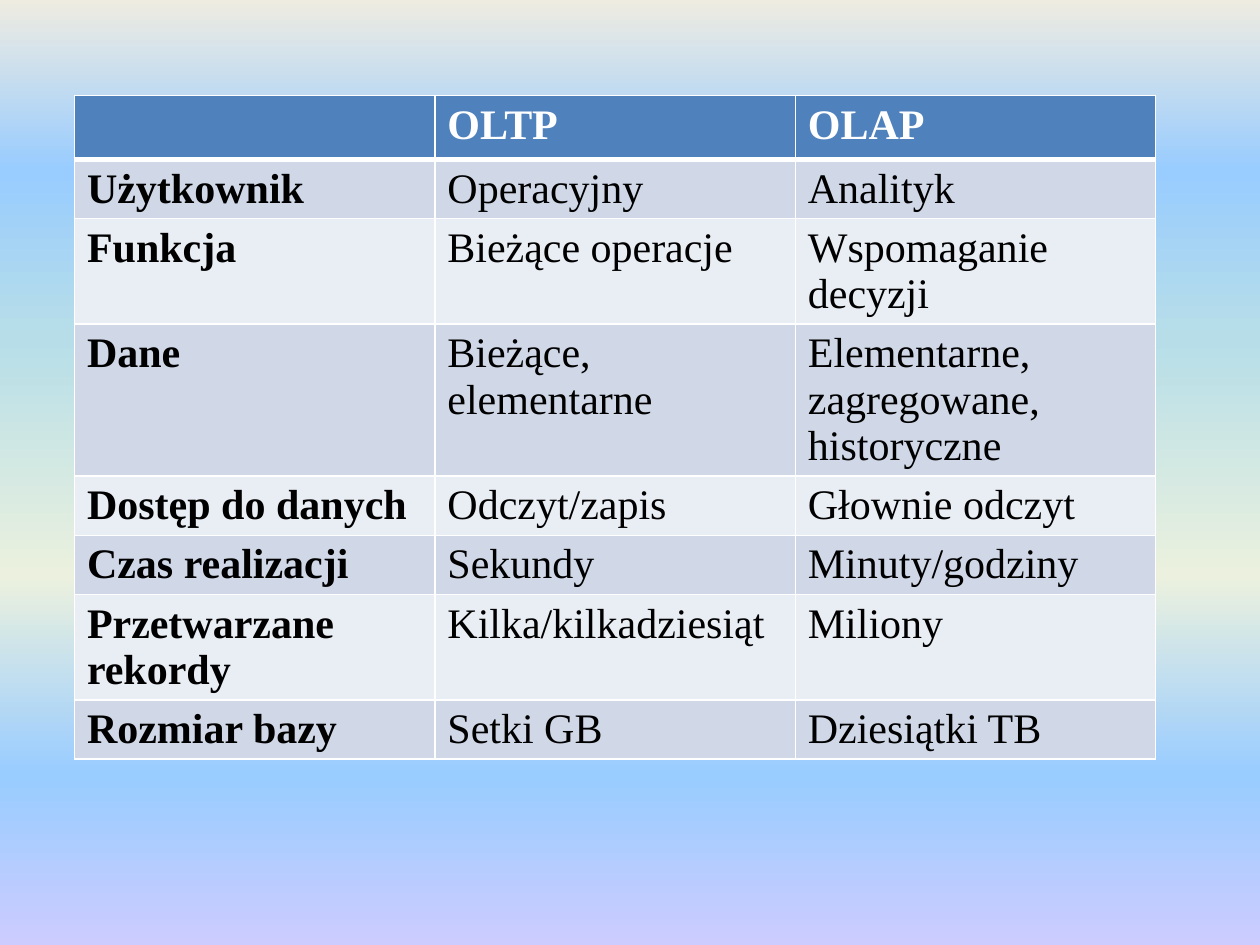
from lxml import etree
from pptx import Presentation
from pptx import util as u
from pptx.dml.color import RGBColor
from pptx.oxml import ns

INK = {"head": "4F81BD", "odd": "D0D8E8", "even": "E9EDF4",
       "white": "FFFFFF", "black": "000000"}
SKY = [(0, "EEECE1"), (18, "99CCFF"), (36, "B7DEE8"),
       (61, "EBF1DE"), (82, "99CCFF"), (100, "CCCCFF")]
FONT = "Times New Roman"
ROWS = [
    ("", "OLTP", "OLAP"),
    ("Użytkownik", "Operacyjny", "Analityk"),
    ("Funkcja", "Bieżące operacje", "Wspomaganie decyzji"),
    ("Dane", "Bieżące, elementarne", "Elementarne, zagregowane, historyczne"),
    ("Dostęp do danych", "Odczyt/zapis", "Głownie odczyt"),
    ("Czas realizacji", "Sekundy", "Minuty/godziny"),
    ("Przetwarzane rekordy", "Kilka/kilkadziesiąt", "Miliony"),
    ("Rozmiar bazy", "Setki GB", "Dziesiątki TB"),
]


def add(parent, tag, **attrs):
    return etree.SubElement(parent, ns.qn(tag), attrs)


def paint_sky(slide):
    fill = slide.background.fill
    fill.gradient()
    fill.gradient_angle = 270
    stops = slide.element.find(".//" + ns.qn("a:gsLst"))
    for stop in list(stops):
        stops.remove(stop)
    for spot, tone in SKY:
        stop = add(stops, "a:gs", pos=str(spot * 1000))
        add(stop, "a:srgbClr", val=tone)


def edge_cell(cell, row):
    props = cell._tc.get_or_add_tcPr()
    wide = {"T": 3 if row == 1 else 1, "B": 3 if row == 0 else 1}
    for side in "LRTB":
        line = add(props, "a:ln" + side, w=str(u.Pt(wide.get(side, 1))))
        add(add(line, "a:solidFill"), "a:srgbClr", val=INK["white"])


def fill_cell(cell, words, row, col):
    edge_cell(cell, row)
    band = "head" if row == 0 else "odd" if row % 2 else "even"
    cell.fill.solid()
    cell.fill.fore_color.rgb = RGBColor.from_string(INK[band])
    para = cell.text_frame.paragraphs[0]
    para.font.size = u.Pt(24)
    if words:
        run = para.add_run()
        run.text = words
        font = run.font
        font.name, font.size = FONT, u.Pt(24)
        font.bold = row == 0 or col == 0
        tone = "white" if row == 0 else "black"
        font.color.rgb = RGBColor.from_string(INK[tone])


def add_grid(slide, left, top, width, height):
    grid = slide.shapes.add_table(len(ROWS), len(ROWS[0]),
                                  left, top, width, height).table
    for row, line in enumerate(ROWS):
        for col, words in enumerate(line):
            fill_cell(grid.cell(row, col), words, row, col)


def main():
    deck = Presentation()
    deck.slide_width, deck.slide_height = u.Cm(25.4), u.Cm(19.05)
    slide = deck.slides.add_slide(deck.slide_layouts[6])
    paint_sky(slide)
    add_grid(slide, u.Cm(1.5), u.Cm(1.93), u.Cm(21.8), u.Cm(8.24))
    deck.save("out.pptx")


if __name__ == "__main__":
    main()
